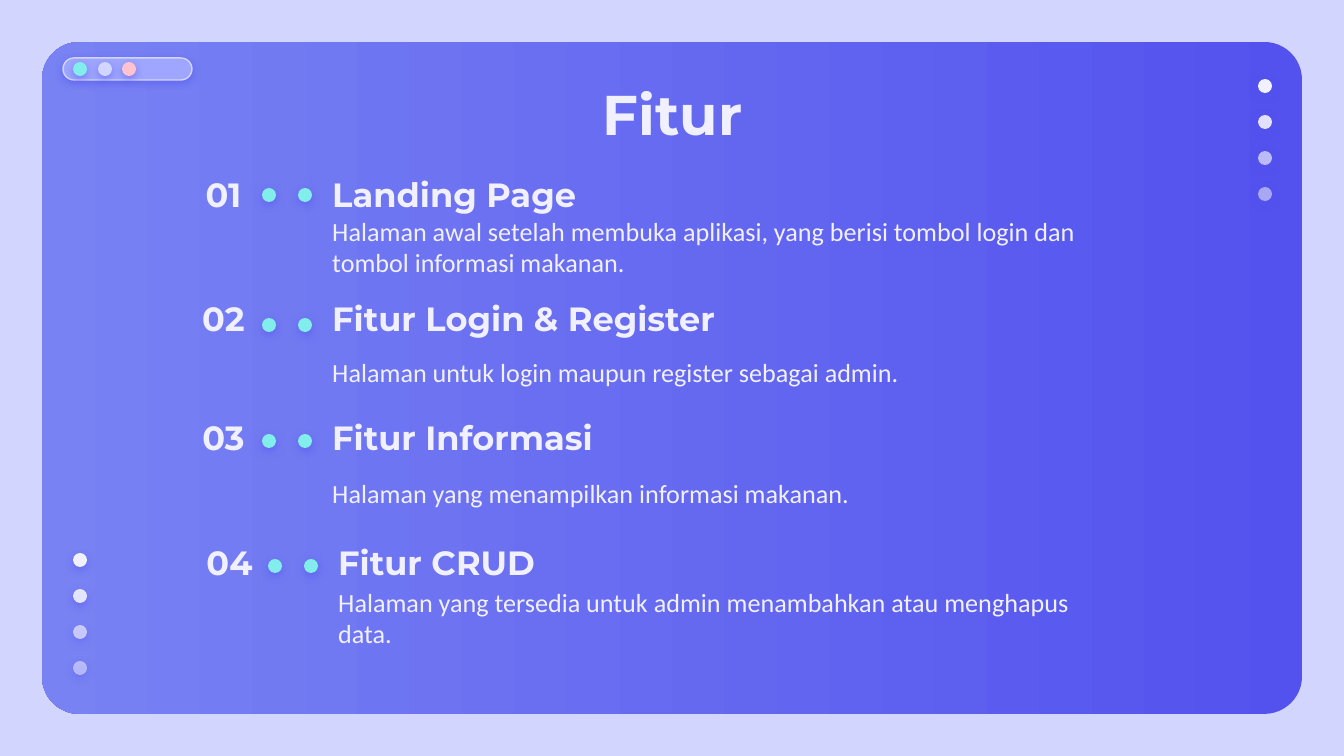
from lxml import etree
from pptx import Presentation
from pptx.dml.color import RGBColor
from pptx.enum.shapes import MSO_SHAPE
from pptx.enum.text import MSO_ANCHOR, MSO_AUTO_SIZE, PP_ALIGN
from pptx.oxml.ns import qn
from pptx.util import Pt

PX = 914400 / 134.4
LEFT, CENTER = PP_ALIGN.LEFT, PP_ALIGN.CENTER
TOP, MIDDLE = MSO_ANCHOR.TOP, MSO_ANCHOR.MIDDLE
ROUNDED, OVAL = MSO_SHAPE.ROUNDED_RECTANGLE, MSO_SHAPE.OVAL

LAVENDER = RGBColor(0xD2, 0xD6, 0xFF)
INDIGO = RGBColor(0x53, 0x52, 0xEE)
PERIWINKLE = RGBColor(0x78, 0x82, 0xF3)
BAR_BLUE = RGBColor(0x9E, 0xA6, 0xFF)
AQUA = RGBColor(0x81, 0xEE, 0xEB)
PINK = RGBColor(0xFF, 0xC3, 0xD0)
WHITE = RGBColor(0xF1, 0xF0, 0xFF)

DOT = 14
DOT_GAP = 36


def add_shadowed(kind, box, color, opacity=100):
    shape = slide.shapes.add_shape(kind, *[round(n * PX) for n in box])
    shape.fill.solid()
    shape.fill.fore_color.rgb = color
    shape.line.fill.background()
    shape.shadow.inherit = False
    properties = shape._element.spPr
    if opacity < 100:
        fill_color = properties.find(qn("a:solidFill"))[0]
        etree.SubElement(fill_color, qn("a:alpha"), val=str(opacity * 1000))
    shadow = etree.SubElement(
        properties.find(qn("a:effectLst")), qn("a:outerShdw"),
        blurRad=str(Pt(4.5)), dist=str(Pt(1.5)), dir="5400000",
        algn="bl", rotWithShape="0")
    shadow_color = etree.SubElement(shadow, qn("a:srgbClr"), val=str(INDIGO))
    etree.SubElement(shadow_color, qn("a:alpha"), val="50000")
    return shape


def write_text(shape, box, text, size, font="Montserrat", bold=True,
               align=LEFT, anchor=MIDDLE):
    shape.left, shape.top, shape.width, shape.height = [
        round(n * PX) for n in box]
    frame = shape.text_frame
    frame.word_wrap = True
    frame.auto_size = MSO_AUTO_SIZE.NONE
    frame.vertical_anchor = anchor
    frame.margin_left = frame.margin_right = Pt(7.2)
    frame.margin_top = frame.margin_bottom = Pt(7.2)
    paragraph = frame.paragraphs[0]
    paragraph.alignment = align
    run = paragraph.add_run()
    run.text = text
    run.font.name = font
    run.font.size = Pt(size)
    run.font.bold = bold
    run.font.color.rgb = WHITE


presentation = Presentation()
presentation.slide_width = round(1344 * PX)
presentation.slide_height = round(756 * PX)
slide = presentation.slides.add_slide(presentation.slide_layouts[5])
slide.background.fill.solid()
slide.background.fill.fore_color.rgb = LAVENDER

# Gradient panel
panel = slide.shapes.add_shape(
    ROUNDED, *[round(n * PX) for n in (42, 42, 1260, 672)])
panel.adjustments[0] = 0.056
panel.fill.gradient()
panel.fill.gradient_angle = 180
for stop, color in zip(panel.fill.gradient_stops, (INDIGO, PERIWINKLE)):
    stop.color.rgb = color
panel.line.fill.background()
panel.shadow.inherit = False

# Window bar with its three buttons
bar = add_shadowed(ROUNDED, (63, 58, 129, 22), BAR_BLUE)
bar.adjustments[0] = 0.5
bar.line.color.rgb = LAVENDER
bar.line.width = Pt(0.75)
for x, color in ((73, AQUA), (98, LAVENDER), (122, PINK)):
    add_shadowed(OVAL, (x, 62, DOT, DOT), color)

# Fading dot columns at the right and left edges
for x, first_y in ((1258, 79), (73, 553)):
    for index, opacity in enumerate((100, 90, 67, 54)):
        add_shadowed(OVAL, (x, first_y + index * DOT_GAP, DOT, DOT),
                     WHITE, opacity)

# Title
write_text(slide.shapes.title, (106, 66, 1133, 85), "Fitur", 30,
           align=CENTER, anchor=TOP)

# Features: shift, heading top and width, dot top, body top and height, texts
features = [
    (0, 176, 339, 188, 202, 71, "Landing Page",
     "Halaman awal setelah membuka aplikasi, yang berisi tombol login dan "
     "tombol informasi makanan."),
    (0, 300, 435, 318, 343, 71, "Fitur Login & Register",
     "Halaman untuk login maupun register sebagai admin."),
    (0, 419, 816, 434, 464, 94, "Fitur Informasi",
     "Halaman yang menampilkan informasi makanan."),
    (6, 544, 816, 559, 573, 94, "Fitur CRUD",
     "Halaman yang tersedia untuk admin menambahkan atau menghapus data."),
]
for number, feature in enumerate(features, start=1):
    shift, top, width, dot_top, body_top, body_height, heading, body = feature
    text_left = 319 + shift
    write_text(slide.shapes.add_textbox(0, 0, 0, 0),
               (159 + shift, top, 129, 36), f"{number:02}", 18, align=CENTER)
    write_text(slide.shapes.add_textbox(0, 0, 0, 0),
               (text_left, top, width, 36), heading, 18)
    write_text(slide.shapes.add_textbox(0, 0, 0, 0),
               (text_left, body_top, 816, body_height), body, 14,
               font="Calibri", bold=False, anchor=TOP)
    for index in range(2):
        add_shadowed(OVAL, (262 + shift + index * DOT_GAP, dot_top, DOT, DOT),
                     AQUA)

# Keep the title in front of the panel
slide.shapes._spTree.append(slide.shapes.title._element)

presentation.save("out.pptx")
